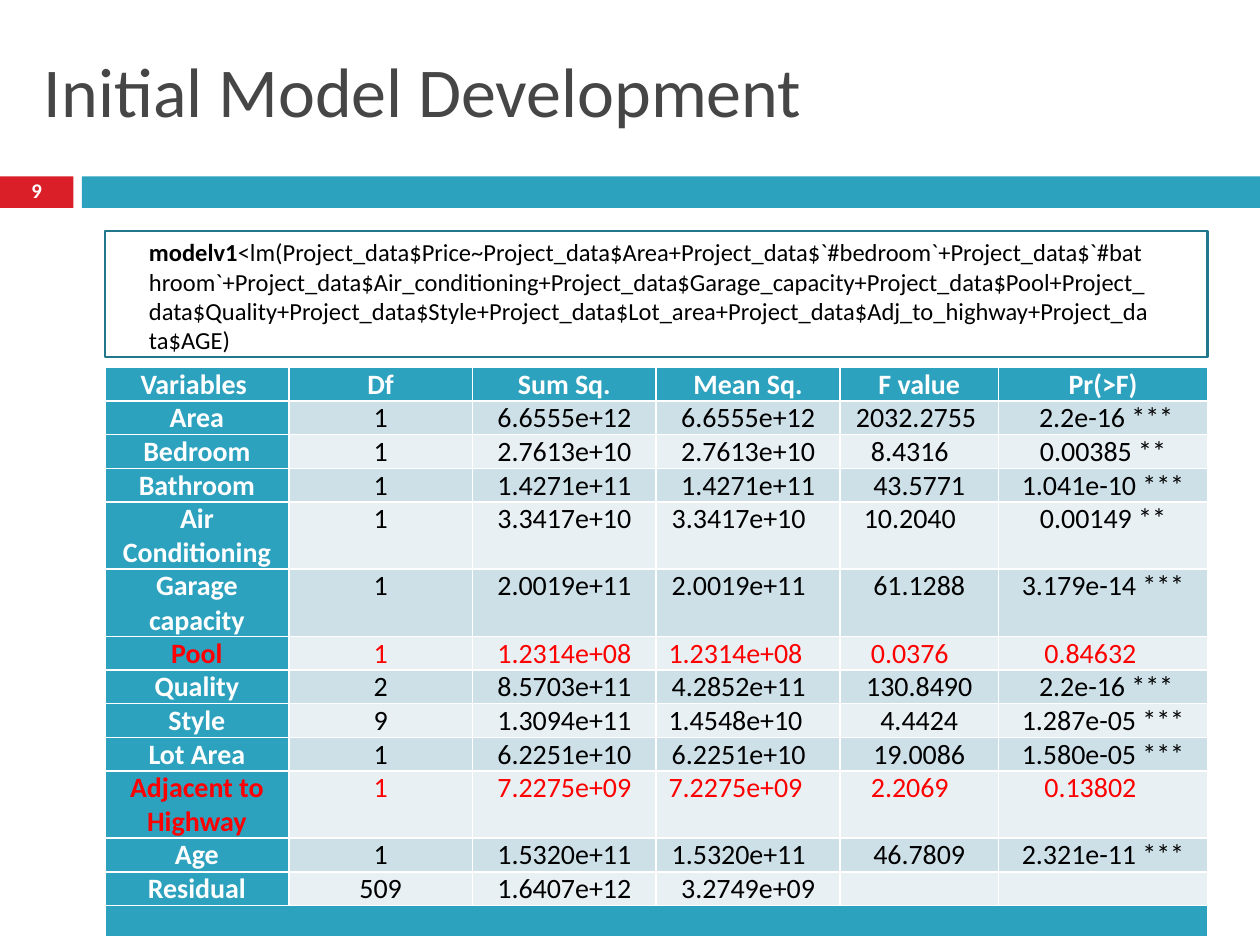
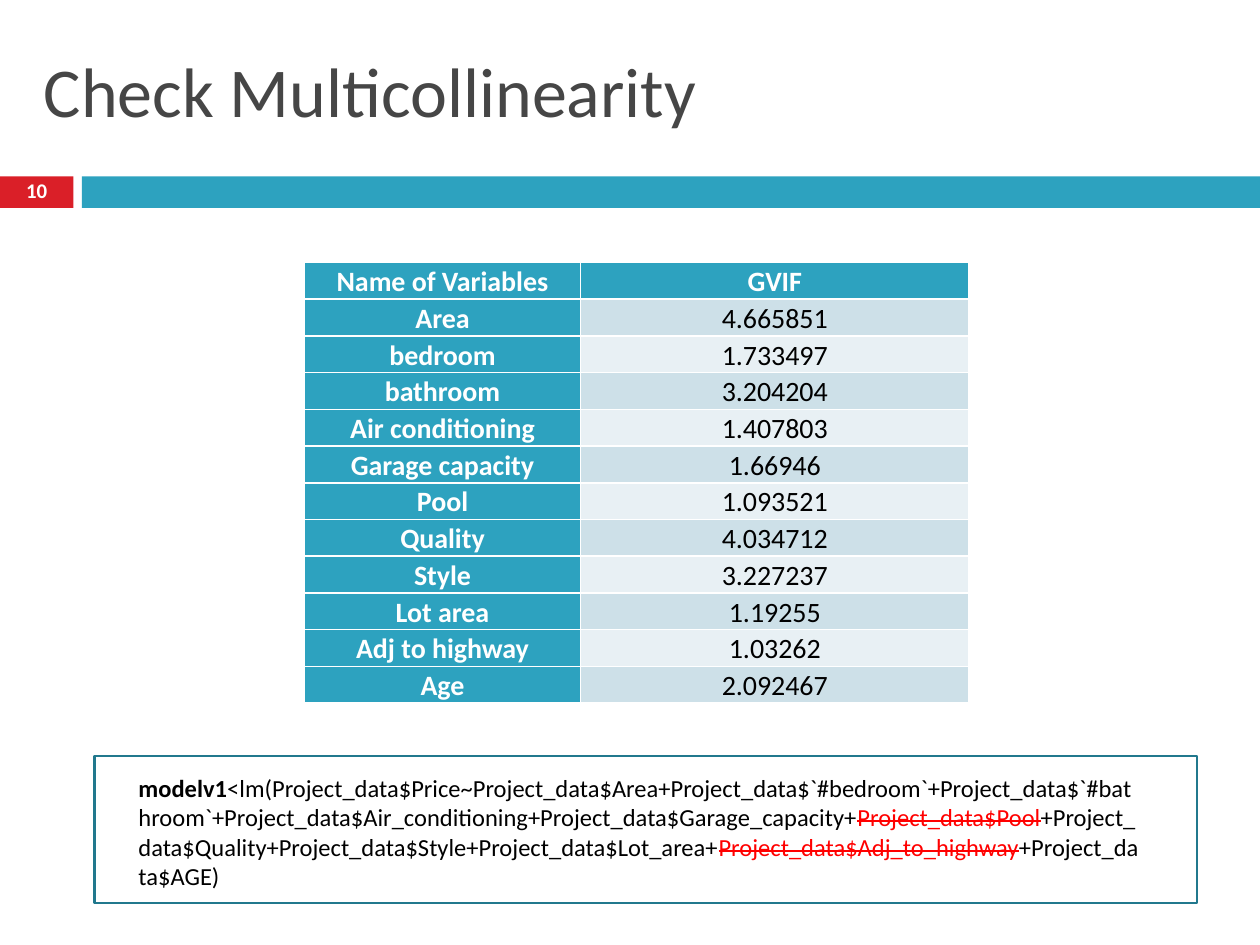
import pptx
import pptx.dml.color
import pptx.enum.shapes
import pptx.enum.text
import pptx.oxml.ns
import pptx.util
from lxml import etree

FONT = "Calibri"
COLORS = {
    "teal": "2DA2BF", "edge": "21788D", "red_band": "DA1F28", "title": "464646",
    "dark_row": "CDE0E8", "light_row": "E8F0F4",
    "white": "FFFFFF", "black": "000000", "red": "FF0000",
}
RGB = {name: pptx.dml.color.RGBColor.from_string(value) for name, value in COLORS.items()}
CENTER = pptx.enum.text.PP_ALIGN.CENTER
MIDDLE = pptx.enum.text.MSO_ANCHOR.MIDDLE

deck = pptx.Presentation()
deck.slide_width = pptx.util.Inches(10)
deck.slide_height = pptx.util.Inches(7.5)
UNIT = deck.slide_width / 120  # grid of 120 columns and 90 rows

# Formula pieces: text, and whether the term is dropped later
FORMULA = [
    ("<lm(Project_data$Price~Project_data$Area+Project_data$`#bedroom`"
     "+Project_data$`#bathroom`+Project_data$Air_conditioning"
     "+Project_data$Garage_capacity+", False),
    ("Project_data$Pool", True),
    ("+Project_data$Quality+Project_data$Style+Project_data$Lot_area+", False),
    ("Project_data$Adj_to_highway", True),
    ("+Project_data$AGE)", False),
]

ANOVA = [
    ["Variables", "Df", "Sum Sq.", "Mean Sq.", "F value", "Pr(>F)"],
    ["Area", "1", "6.6555e+12", "6.6555e+12", "2032.2755", "2.2e-16 ***"],
    ["Bedroom", "1", "2.7613e+10", "2.7613e+10", "8.4316", "0.00385 **"],
    ["Bathroom", "1", "1.4271e+11", "1.4271e+11", "43.5771", "1.041e-10 ***"],
    ["Air Conditioning", "1", "3.3417e+10", "3.3417e+10", "10.2040", "0.00149 **"],
    ["Garage capacity", "1", "2.0019e+11", "2.0019e+11", "61.1288", "3.179e-14 ***"],
    ["Pool", "1", "1.2314e+08", "1.2314e+08", "0.0376", "0.84632"],
    ["Quality", "2", "8.5703e+11", "4.2852e+11", "130.8490", "2.2e-16 ***"],
    ["Style", "9", "1.3094e+11", "1.4548e+10", "4.4424", "1.287e-05 ***"],
    ["Lot Area", "1", "6.2251e+10", "6.2251e+10", "19.0086", "1.580e-05 ***"],
    ["Adjacent to Highway", "1", "7.2275e+09", "7.2275e+09", "2.2069", "0.13802"],
    ["Age", "1", "1.5320e+11", "1.5320e+11", "46.7809", "2.321e-11 ***"],
    ["Residual", "509", "1.6407e+12", "3.2749e+09", "", ""],
    [""] * 6,
]
# Extra right margin (left if negative) by row and column, in twentieths of an inch
ANOVA_SHIFTS = {
    (0, 0): 1, (1, 4): 1, (1, 5): -1, (2, 4): 3, (4, 3): 3, (4, 4): 3,
    (5, 3): 3, (6, 3): 4, (6, 4): 3, (6, 5): 4, (7, 3): 3, (7, 5): -1,
    (8, 3): 4, (9, 3): 3, (10, 3): 4, (10, 4): 3, (10, 5): 4, (11, 3): 3,
}

GVIF = [
    ["Name of Variables", "GVIF"],
    ["Area", "4.665851"],
    ["bedroom", "1.733497"],
    ["bathroom", "3.204204"],
    ["Air conditioning", "1.407803"],
    ["Garage capacity", "1.66946"],
    ["Pool", "1.093521"],
    ["Quality", "4.034712"],
    ["Style", "3.227237"],
    ["Lot area", "1.19255"],
    ["Adj to highway", "1.03262"],
    ["Age", "2.092467"],
]

# Places are left, top, width, height in grid units; row heights are in points
PAGES = [
    dict(number=9, title="Initial Model Development", rows=ANOVA, shifts=ANOVA_SHIFTS,
         table=(10, 35), columns=[17.5, 17.5, 17.5, 17.5, 15.1, 19.9],
         heights=[19.2] * 4 + [38.4] * 2 + [19.2] * 4 + [38.4] + [19.2] * 2 + [18],
         margins=(0.07, 0), anchor=pptx.enum.text.MSO_ANCHOR.TOP, red_rows=(6, 10),
         frame=(10, 22, 105, 12), formula=(13, 22, 98, 15), strike=False),
    dict(number=10, title="Check Multicollinearity", rows=GVIF, shifts={},
         table=(29, 25), columns=[26.3, 37], heights=[21] * 12,
         margins=(0.01, 0.01), anchor=pptx.enum.text.MSO_ANCHOR.BOTTOM, red_rows=(),
         frame=(9, 72, 105, 14), formula=(12, 73, 98, 15.4), strike=True),
]


def add_rectangle(page, place, fill, edge=None):
    box = page.shapes.add_shape(pptx.enum.shapes.MSO_SHAPE.RECTANGLE,
                                *[int(n * UNIT) for n in place])
    box.shadow.inherit = False
    box.fill.solid()
    box.fill.fore_color.rgb = RGB[fill]
    if edge:
        box.line.color.rgb = RGB[edge]
        box.line.width = pptx.util.Pt(1.5)
    else:
        box.line.fill.background()


def add_text(page, place, text, size, color, bold=False):
    box = page.shapes.add_textbox(*[int(n * UNIT) for n in place])
    box.text_frame.word_wrap = True
    para = box.text_frame.paragraphs[0]
    para.text = text
    para.font.name = FONT
    para.font.size = pptx.util.Pt(size)
    para.font.color.rgb = RGB[color]
    para.font.bold = bold
    return box.text_frame, para


for content in PAGES:
    page = deck.slides.add_slide(deck.slide_layouts[6])

    # Bands, title and page number
    add_rectangle(page, (0, 16.8, 7, 3), "red_band")
    add_rectangle(page, (7.8, 16.8, 112.2, 3), "teal")
    frame, para = add_text(page, (3, 2, 130.4, 13), content["title"], 40, "title")
    frame.vertical_anchor = MIDDLE
    frame, para = add_text(page, (0, 16.7, 7, 3.2), str(content["number"]), 11.9, "white", True)
    frame.vertical_anchor = MIDDLE
    para.alignment = CENTER
    para.line_spacing = 0.8

    # Framed model formula
    add_rectangle(page, content["frame"], "white", "edge")
    frame, para = add_text(page, content["formula"], "", 14, "black")
    span = para.add_run()
    span.text = "modelv1"
    span.font.bold = True
    for text, dropped in FORMULA:
        span = para.add_run()
        span.text = text
        if dropped and content["strike"]:
            span.font.color.rgb = RGB["red"]
            span._r.get_or_add_rPr().set("strike", "sngStrike")

    # Table
    rows, columns = content["rows"], content["columns"]
    left, top = content["table"]
    table = page.shapes.add_table(
        len(rows), len(columns), int(left * UNIT), int(top * UNIT),
        int(sum(columns) * UNIT), pptx.util.Pt(sum(content["heights"]))).table
    table.first_col = True
    for column, width in zip(table.columns, columns):
        column.width = int(width * UNIT)
    for row, height in zip(table.rows, content["heights"]):
        row.height = pptx.util.Pt(height)
    side, upper = content["margins"]
    for r, values in enumerate(rows):
        empty_row = not any(values)
        for c, value in enumerate(values):
            cell = table.cell(r, c)
            heading = r == 0 or c == 0 or empty_row
            shift = content["shifts"].get((r, c), 0) * 0.05
            cell.margin_left = pptx.util.Inches(side + max(-shift, 0))
            cell.margin_right = pptx.util.Inches(side + max(shift, 0))
            cell.margin_top = pptx.util.Inches(upper)
            cell.margin_bottom = 0
            cell.vertical_anchor = content["anchor"]
            cell.fill.solid()
            cell.fill.fore_color.rgb = RGB[
                "teal" if heading else "dark_row" if r % 2 else "light_row"]
            para = cell.text_frame.paragraphs[0]
            para.text = value
            para.alignment = CENTER
            para.font.name = FONT
            para.font.size = pptx.util.Pt(16)
            para.font.bold = heading
            para.font.color.rgb = RGB[
                "red" if r in content["red_rows"] else "white" if heading else "black"]
            if not value:  # keeps empty rows from growing
                etree.SubElement(para._p, pptx.oxml.ns.qn("a:endParaRPr"), sz="1200")
        if empty_row:
            table.cell(r, 0).merge(table.cell(r, len(columns) - 1))

deck.save("out.pptx")
